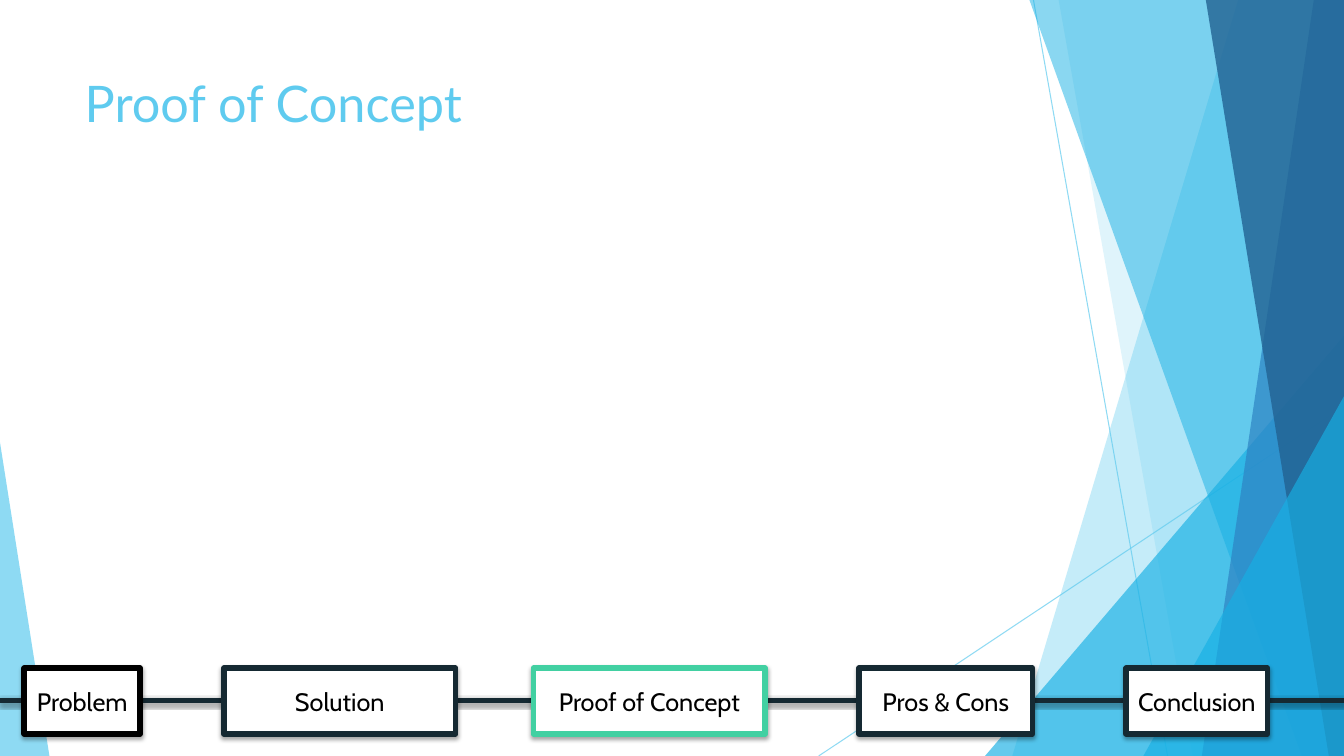
"""Build the Proof of Concept slide with its progress bar."""
from dataclasses import dataclass
from lxml import etree
from pptx import Presentation
from pptx.dml.color import RGBColor
from pptx.enum.shapes import MSO_CONNECTOR, MSO_SHAPE
from pptx.enum.text import MSO_ANCHOR, PP_ALIGN
from pptx.oxml.ns import qn
from pptx.util import Inches, Pt

RECT = MSO_SHAPE.RECTANGLE
WEDGE = MSO_SHAPE.ISOSCELES_TRIANGLE
LINE = MSO_CONNECTOR.STRAIGHT
TOP, MIDDLE = MSO_ANCHOR.TOP, MSO_ANCHOR.MIDDLE
LEFT, CENTER = PP_ALIGN.LEFT, PP_ALIGN.CENTER
WIDE, HIGH = 13.33, 7.5


@dataclass
class Theme:
    """Colours, fonts and sizes."""
    sky: str = "5FCBEF"
    cyan: str = "17B0E4"
    blue: str = "2E83C3"
    navy: str = "226292"
    ink: str = "152932"
    mint: str = "42D0A2"
    black: str = "000000"
    white: str = "FFFFFF"
    head: str = "Lato"
    body: str = "Cabin"
    large: int = 36
    small: int = 18
    hair: float = 0.75
    thick: float = 4


class Deck:
    """Holds the theme and the current slide."""

    def __init__(self, theme):
        """Start a blank deck with one title slide."""
        self.theme = theme
        self.file = Presentation()
        self.file.slide_width = Inches(WIDE)
        self.file.slide_height = Inches(HIGH)
        self.slide = self.file.slides.add_slide(self.file.slide_layouts[5])
        self.shapes = self.slide.shapes

    def fade(self, part, alpha):
        """Set the opacity of the first colour in an element."""
        tone = next(part.iter(qn("a:srgbClr")))
        etree.SubElement(tone, qn("a:alpha"), val=str(alpha * 1000))

    def shade(self, shape, alpha=0, drop=0):
        """Replace the default shadow, with none if alpha is zero."""
        effect = etree.SubElement(shape.element.spPr, qn("a:effectLst"))
        if alpha:
            outer = etree.SubElement(
                effect, qn("a:outerShdw"), blurRad=str(Pt(3)),
                dist=str(Pt(drop)), dir="5400000", rotWithShape="0")
            etree.SubElement(outer, qn("a:srgbClr"), val=self.theme.black)
            self.fade(outer, alpha)

    def paint(self, shape, color, alpha):
        """Fill a borderless shape with a clear colour."""
        shape.fill.solid()
        shape.fill.fore_color.rgb = RGBColor.from_string(color)
        self.fade(shape.element.spPr, alpha)
        shape.line.fill.background()
        self.shade(shape)

    def stroke(self, shape, color, width):
        """Set the outline."""
        shape.line.color.rgb = RGBColor.from_string(color)
        shape.line.width = Pt(width)

    def label(self, shape, text, font, size, color, align, **frame):
        """Put one formatted line of text in a shape."""
        box = shape.text_frame
        box.text = text
        for name, value in frame.items():
            setattr(box, name, value)
        line = box.paragraphs[0]
        line.alignment = align
        for name, value in {"name": font, "size": Pt(size)}.items():
            setattr(line.runs[0].font, name, value)
        line.runs[0].font.color.rgb = RGBColor.from_string(color)

    def title(self, text, *place):
        """Move and format the title placeholder."""
        shape = self.shapes.title
        for name, value in zip(("left", "top", "width", "height"), place):
            setattr(shape, name, Inches(value))
        self.label(shape, text, self.theme.head, self.theme.large,
                   self.theme.sky, LEFT, vertical_anchor=TOP)
        shape.element.getparent().append(shape.element)

    def line(self, start, end, color, width):
        """Draw a straight line."""
        ends = [Inches(n) for n in start + end]
        shape = self.shapes.add_connector(LINE, *ends)
        self.stroke(shape, color, width)
        return shape

    def band(self, top, foot, color, alpha):
        """Draw a slanted band that reaches the right edge."""
        points = [(Inches(x), Inches(y)) for x, y in
                  ((top, 0), (WIDE, 0), (WIDE, HIGH), (foot, HIGH))]
        pen = self.shapes.build_freeform(*points[0], scale=1.0)
        pen.add_line_segments(points[1:], close=True)
        self.paint(pen.convert_to_shape(), color, alpha)

    def wedge(self, left, top, width, peak, color, alpha):
        """Draw a triangle that stands on the bottom edge."""
        place = [Inches(n) for n in (left, top, width, HIGH - top)]
        shape = self.shapes.add_shape(WEDGE, *place)
        shape.adjustments[0] = peak
        self.paint(shape, color, alpha)

    def step(self, text, left, width, color):
        """Draw one box of the progress bar."""
        place = [Inches(n) for n in (left, 6.63, width, 0.65)]
        shape = self.shapes.add_shape(RECT, *place)
        shape.fill.solid()
        shape.fill.fore_color.rgb = RGBColor.from_string(self.theme.white)
        self.stroke(shape, color, self.theme.thick)
        etree.SubElement(shape.element.spPr.find(qn("a:ln")), qn("a:round"))
        self.shade(shape, 35, 1.8)
        sides = ("left", "top", "right", "bottom")
        inset = {f"margin_{side}": Inches(0.05) for side in sides}
        self.label(shape, text, self.theme.body, self.theme.small,
                   self.theme.black, CENTER, vertical_anchor=MIDDLE,
                   word_wrap=True, **inset)


def main():
    """Compose and save the slide."""
    look = Theme()
    deck = Deck(look)
    for start, end in (((10.25, 0), (11.58, HIGH)),
                       ((WIDE, 4.03), (8.12, HIGH))):
        ray = deck.line(start, end, look.sky, look.hair)
        deck.fade(ray.element.spPr, 70)
        deck.shade(ray)
    deck.band(12.28, 10.04, look.sky, 36)
    deck.band(10.5, 11.83, look.sky, 20)
    deck.wedge(9.77, 3.33, 3.56, 1, look.cyan, 66)
    deck.band(10.21, 12.91, look.cyan, 50)
    deck.band(13.03, 11.92, look.blue, 70)
    deck.band(11.96, 13.18, look.navy, 80)
    deck.wedge(11.34, 3.93, 1.99, 1, look.cyan, 66)
    deck.wedge(0, 4.39, 0.49, 0, look.sky, 70)

    deck.title("Proof of Concept", 0.74, 0.67, 9.4, 1.44)
    rail = deck.line((0, 6.95), (WIDE, 6.95), look.ink, look.thick)
    deck.shade(rail, 38, 1.6)
    for step in (("Problem", 0.24, 1.15, look.black),
                 ("Solution", 2.22, 2.3, look.ink),
                 ("Proof of Concept", 5.29, 2.3, look.mint),
                 ("Pros & Cons", 8.52, 1.72, look.ink),
                 ("Conclusion", 11.17, 1.4, look.ink)):
        deck.step(*step)
    deck.file.save("out.pptx")


main()
